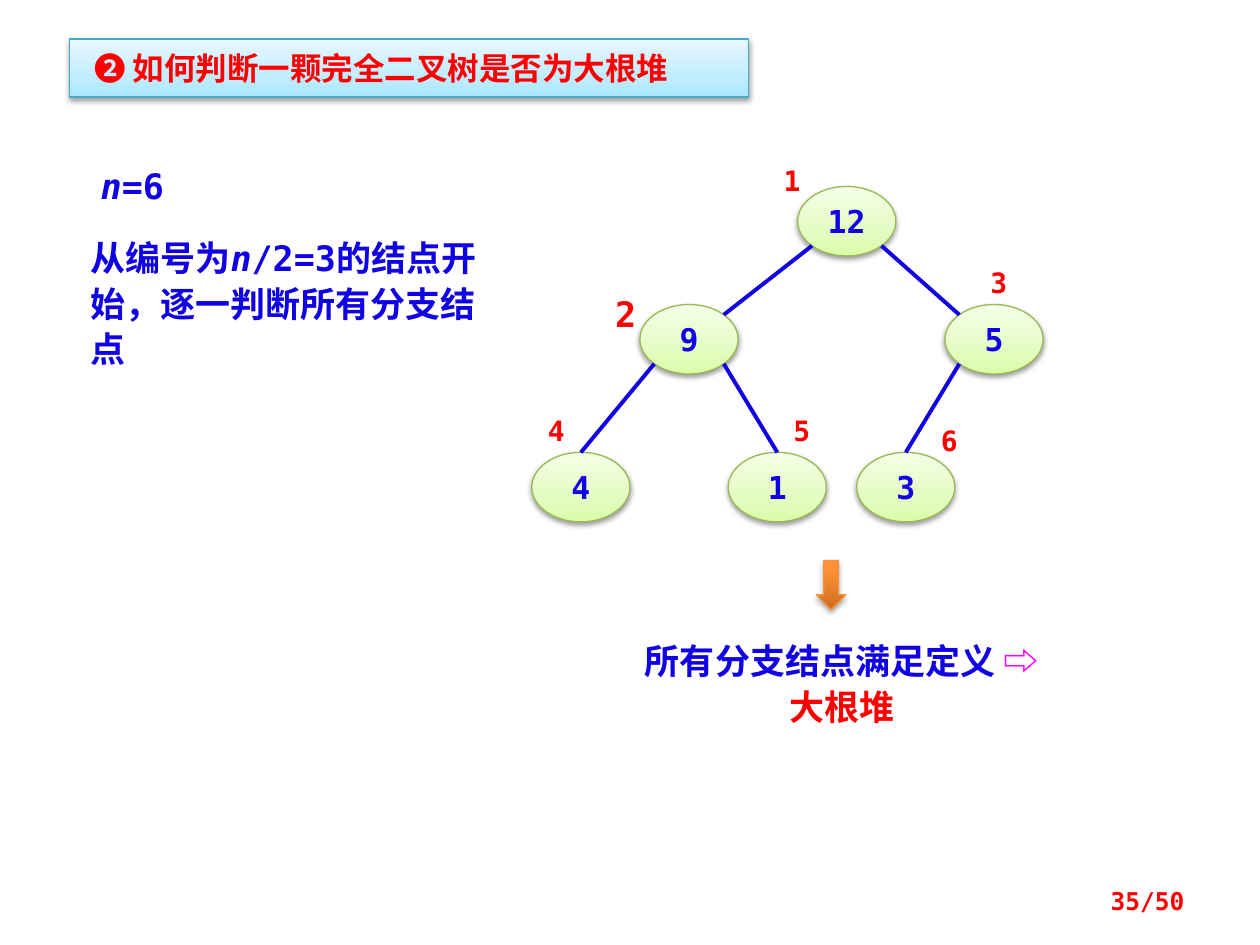
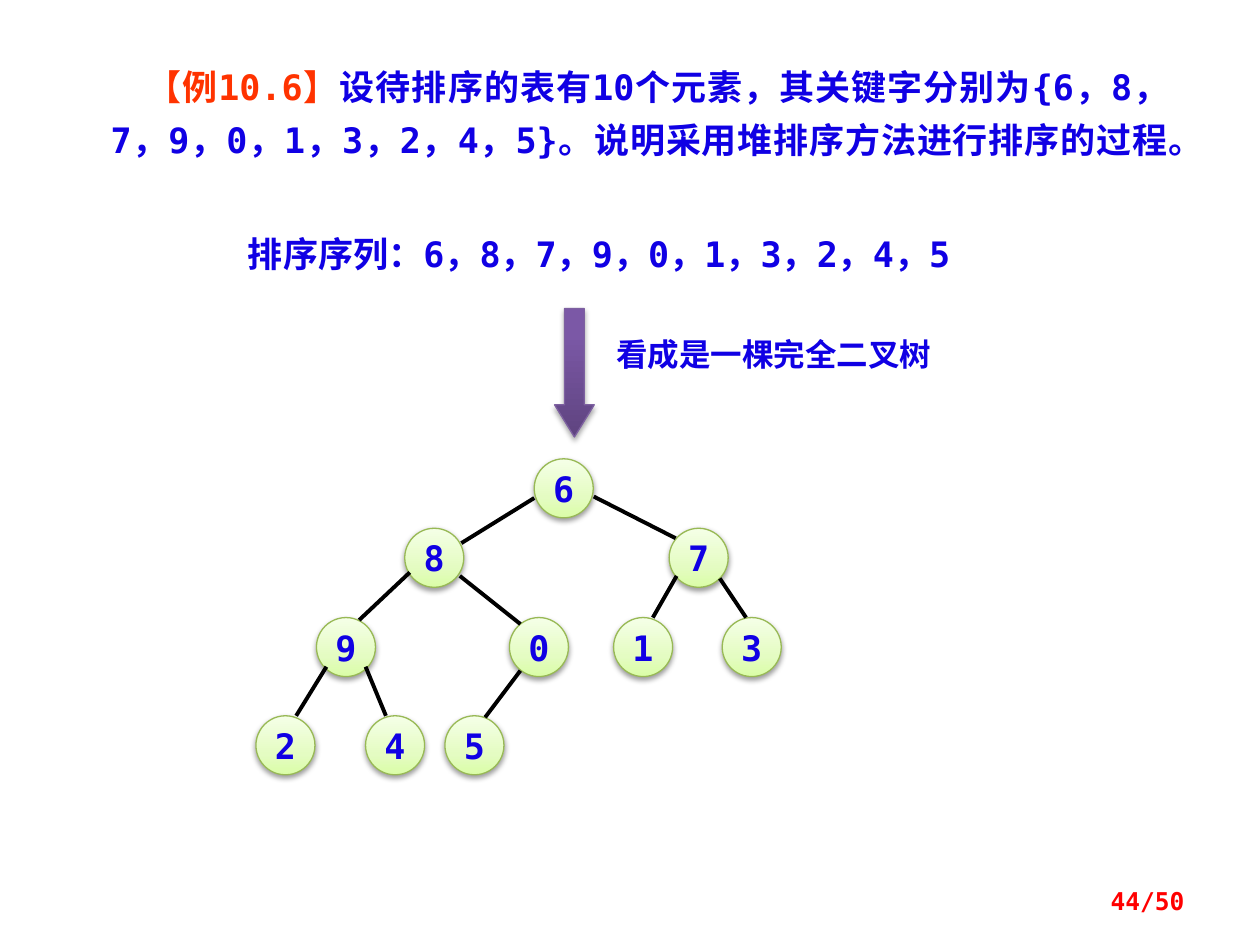
from math import cos, pi, sin

from lxml import etree
from pptx import Presentation
from pptx.dml.color import RGBColor
from pptx.enum.shapes import MSO_CONNECTOR, MSO_SHAPE
from pptx.enum.text import MSO_ANCHOR, PP_ALIGN
from pptx.oxml.ns import qn
from pptx.util import Cm, Pt

LEFT, CENTER, RIGHT, JUSTIFY = PP_ALIGN.LEFT, PP_ALIGN.CENTER, PP_ALIGN.RIGHT, PP_ALIGN.JUSTIFY
TOP, MIDDLE = MSO_ANCHOR.TOP, MSO_ANCHOR.MIDDLE
OVAL, RECT, DOWN_ARROW = MSO_SHAPE.OVAL, MSO_SHAPE.RECTANGLE, MSO_SHAPE.DOWN_ARROW
STRAIGHT = MSO_CONNECTOR.STRAIGHT

MONO, CJK = "DejaVu Sans Mono", "Noto Sans CJK SC"
INSETS = (0.25, 0.13, 0.25, 0.13)
COLORS = {"blue": "1000E4", "red": "FF0000", "tag": "FF3300", "magenta": "FF00FF", "black": "000000"}
STYLES = {
    "node": {"stops": {0: "DAFDA7", 35: "E4FCC2", 100: "F5FFE7"}, "line": "98B955", "shadow": (38, 1.6)},
    "title": {"stops": {0: "A7E6FF", 35: "C1EDFF", 100: "E7F8FF"}, "line": "46AAC5", "shadow": (38, 1.6)},
    "orange": {"stops": {0: "CC6E20", 80: "FF9034", 100: "FF9136"}, "line": "F69240", "shadow": (35, 1.8)},
    "purple": {"stops": {0: "5F4480", 80: "7B58A6", 100: "7C57A8"}, "line": "7D60A0", "shadow": (35, 1.8)},
}


def add_xml(parent, tag, **attrs):
    """Append a DrawingML element with the given attributes."""
    return etree.SubElement(parent, qn(f"a:{tag}"), {k: str(v) for k, v in attrs.items()})


def add_color(parent, color, alpha=100):
    """Append a solid colour with an opacity in percent."""
    clr = add_xml(parent, "srgbClr", val=color)
    if alpha < 100:
        add_xml(clr, "alpha", val=alpha * 1000)


def write(shape, runs, size, align=LEFT, anchor=TOP, insets=INSETS, wrap=True,
          spacing=None, indent=0, font=MONO):
    """Fill a shape with one paragraph of (text, colour, italic) runs."""
    tf = shape.text_frame
    tf.word_wrap = wrap
    tf.vertical_anchor = anchor
    tf.margin_left, tf.margin_top, tf.margin_right, tf.margin_bottom = map(Cm, insets)
    p = tf.paragraphs[0]
    p.alignment = align
    if spacing:
        p.line_spacing = Pt(spacing)
    if indent:
        p._p.get_or_add_pPr().set("indent", str(Cm(indent)))
    for text, color, *italic in runs:
        r = p.add_run()
        r.text = text
        r.font.size = Pt(size)
        r.font.bold = True
        r.font.italic = bool(italic)
        r.font.name = font
        r.font.color.rgb = RGBColor.from_string(COLORS[color])
        add_xml(r._r.get_or_add_rPr(), "ea", typeface=CJK)


def add_text(s, box, runs, size, **options):
    """Add a text box at a box of centimetres."""
    write(s.shapes.add_textbox(*map(Cm, box)), runs, size, **options)


def add_styled(s, kind, box, style):
    """Add a preset shape with gradient, outline and soft shadow."""
    sp = s.shapes.add_shape(kind, *map(Cm, box))
    look = STYLES[style]
    sp.fill.gradient()
    sp.fill.gradient_angle = 90
    stops = sp._element.spPr.find(qn("a:gradFill")).find(qn("a:gsLst"))
    for gs in list(stops):
        stops.remove(gs)
    for pos, color in look["stops"].items():
        add_color(add_xml(stops, "gs", pos=pos * 1000), color)
    sp.line.color.rgb = RGBColor.from_string(look["line"])
    sp.line.width = Pt(0.75)
    sp.shadow.inherit = False
    alpha, dist = look["shadow"]
    effects = sp._element.spPr.find(qn("a:effectLst"))
    outer = add_xml(effects, "outerShdw", blurRad=Pt(3.1), dist=Pt(dist), dir=5400000, rotWithShape=0)
    add_color(outer, COLORS["black"], alpha)
    return sp


def add_edge(s, start, end, color):
    """Draw a straight tree edge between two points."""
    line = s.shapes.add_connector(STRAIGHT, *map(Cm, (*start, *end)))
    line.line.color.rgb = RGBColor.from_string(COLORS[color])
    line.line.width = Pt(2.25)
    add_xml(line._element.spPr, "effectLst")


def add_node(s, box, key, size):
    """Draw one tree node with its key."""
    write(add_styled(s, OVAL, box, "node"), [(key, "blue")], size,
          align=CENTER, anchor=MIDDLE, wrap=False)


def add_title(s, box, text):
    """Draw the title band."""
    write(add_styled(s, RECT, box, "title"), [(text, "red")], 18, insets=(0.5, 0.2, 0.25, 0.2))


def add_page_number(s, number):
    """Write the page number at the bottom right."""
    add_text(s, (18.21, 17.65, 5.92, 1.02), [(f"{number}/50", "red")], 14, align=RIGHT, anchor=MIDDLE)


def rim_point(box, degrees):
    """Return the point of an ellipse at an angle, clockwise from the right."""
    x, y, w, h = box
    angle = degrees * pi / 180
    return x + w / 2 * (1 + cos(angle)), y + h / 2 * (1 + sin(angle))


def numbered_tree(s, left, top):
    """Draw the six-node heap with node numbers in red."""
    nodes = [("12", 5.36, 0.46), ("9", 2.18, 2.84), ("5", 8.33, 2.84),
             ("4", 0, 5.82), ("1", 3.96, 5.82), ("3", 6.55, 5.82)]
    labels = [(4.75, 0, 16), (1.4, 2.59, 20), (8.92, 2.06, 16),
              (0, 5.03, 16), (4.95, 5.03, 16), (7.92, 5.23, 16)]
    boxes = [(left + x, top + y, 1.98, 1.4) for _, x, y in nodes]
    for (key, *_), box in zip(nodes, boxes):
        add_node(s, box, key, 18)
    for child in range(1, len(boxes)):
        goes_left = child % 2 == 1
        if child > 2:
            arrival = 270
        else:
            arrival = 315 if goes_left else 225
        add_edge(s, rim_point(boxes[(child - 1) // 2], 135 if goes_left else 45),
                 rim_point(boxes[child], arrival), "blue")
    for number, (x, y, size) in enumerate(labels, 1):
        add_text(s, (left + x, top + y, 0.99, 0.8), [(str(number), "red")], size,
                 align=CENTER, insets=(0, 0, 0, 0))


def sequence_tree(s, left, top):
    """Draw the ten-node complete binary tree of the unsorted list."""
    rows = [(0, [("6", 5.61)]),
            (1.4, [("8", 3), ("7", 8.33)]),
            (3.2, [("9", 1.22), ("0", 5.11), ("1", 7.21), ("3", 9.4)]),
            (5.18, [("2", 0), ("4", 2.21), ("5", 3.81)])]
    edges = [(5.61, 0.79, 4.14, 1.7), (6.81, 0.76, 8.46, 1.6),
             (3.1, 2.29, 2.08, 3.25), (4.11, 2.36, 5.33, 3.33),
             (8.48, 2.36, 8, 3.2), (9.35, 2.41, 9.88, 3.2),
             (1.42, 4.19, 0.81, 5.18), (2.21, 4.19, 2.62, 5.18), (5.33, 4.27, 4.62, 5.21)]
    for y, row in rows:
        for key, x in row:
            add_node(s, (left + x, top + y, 1.19, 1.19), key, 20)
    for x1, y1, x2, y2 in edges:
        add_edge(s, (left + x1, top + y1), (left + x2, top + y2), "black")


def conclusion(s, left, top):
    """Draw the arrow and the result below the heap."""
    add_styled(s, DOWN_ARROW, (left + 3.96, top, 0.59, 0.99), "orange")
    add_text(s, (left, top + 1.4, 8.94, 2.11),
             [("所有分支结点满足定义 ", "blue"), ("⇨ ", "magenta"), ("大根堆", "red")],
             20, align=CENTER, spacing=26)


def view_as_tree(s, left, top):
    """Draw the long arrow with its remark."""
    arrow = add_styled(s, DOWN_ARROW, (left, top, 0.8, 2.59), "purple")
    arrow.adjustments[0], arrow.adjustments[1] = 0.5, 0.81
    add_text(s, (left + 0.99, top + 0.41, 10.01, 1.02),
             [("看成是一棵完全二叉树", "blue")], 18, font=CJK)


def heap_check_slide(s):
    """Build the slide that checks for a max heap."""
    numbered_tree(s, 10.72, 3.3)
    add_title(s, (1.4, 0.79, 13.69, 1.17), "❷ 如何判断一颗完全二叉树是否为大根堆")
    add_text(s, (1.78, 3.18, 3.38, 1.12), [("n", "blue", True), ("=6", "blue")], 20)
    add_text(s, (1.57, 4.57, 8.94, 2.11),
             [("从编号为", "blue"), ("n", "blue", True),
              ("/2=3的结点开始，逐一判断所有分支结点", "blue")], 20, spacing=26)
    conclusion(s, 12.5, 11.3)
    add_page_number(s, 35)


def heap_sort_slide(s):
    """Build the slide with the heap sort example."""
    keys = "6，8，7，9，0，1，3，2，4，5"
    add_text(s, (1.98, 0.99, 21.82, 2.29),
             [("【例10.6】", "tag"),
              (f"设待排序的表有10个元素，其关键字分别为{{{keys}}}。说明采用堆排序方法进行排序的过程。", "blue")],
             20, align=JUSTIFY, spacing=30, indent=0.72)
    add_text(s, (4.75, 4.55, 16.66, 1.12), [(f"排序序列：{keys}", "blue")], 20)
    sequence_tree(s, 5.16, 9.25)
    view_as_tree(s, 11.18, 6.22)
    add_page_number(s, 44)


def main():
    """Create the presentation and save it."""
    prs = Presentation()
    prs.slide_width, prs.slide_height = Cm(25.4), Cm(19.05)
    for build in (heap_check_slide, heap_sort_slide):
        build(prs.slides.add_slide(prs.slide_layouts[6]))
    prs.save("out.pptx")


if __name__ == "__main__":
    main()
